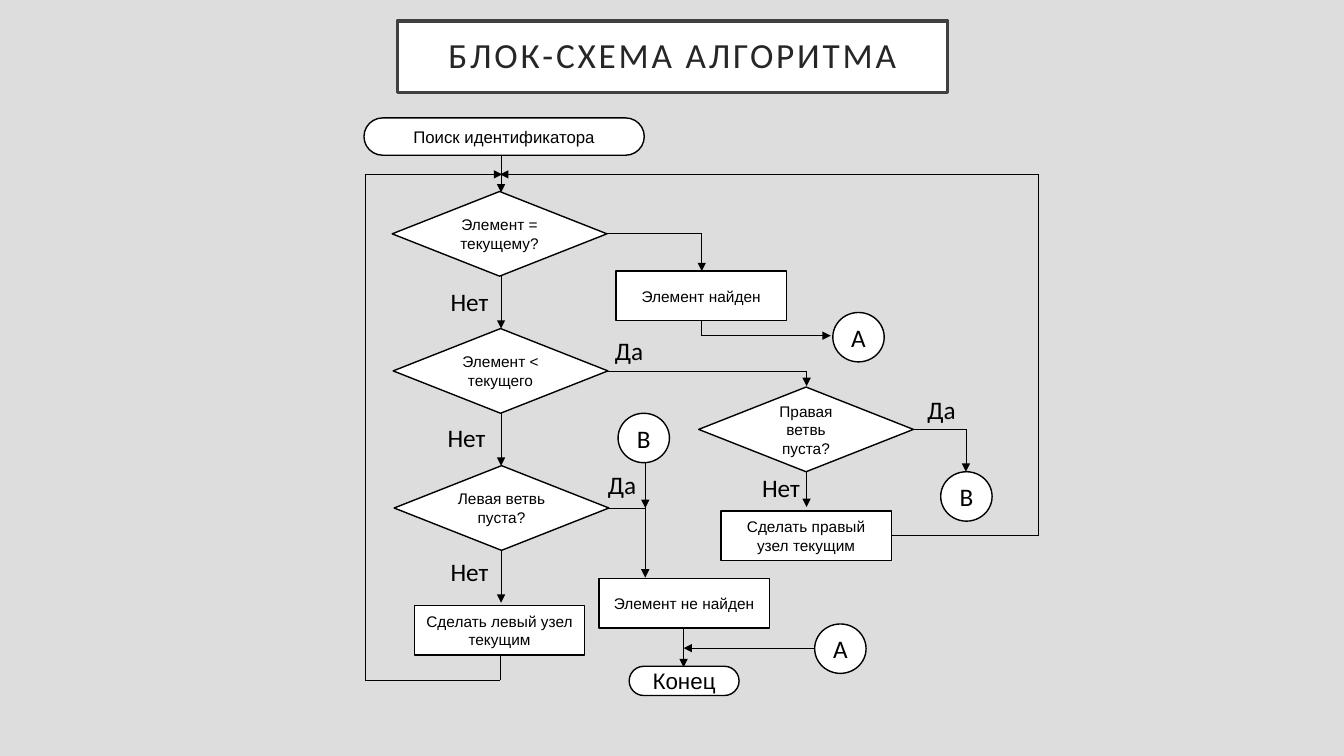
from itertools import pairwise

from lxml.etree import SubElement
from pptx import Presentation
from pptx.dml.color import RGBColor
from pptx.enum.shapes import MSO_CONNECTOR as Connector, MSO_SHAPE as Shape
from pptx.enum.text import MSO_ANCHOR as Anchor, PP_ALIGN as Align
from pptx.oxml.ns import qn
from pptx.util import Inches, Pt

BACKGROUND = RGBColor(0xDD, 0xDD, 0xDD)
WHITE = RGBColor(0xFF, 0xFF, 0xFF)
BLACK = RGBColor(0, 0, 0)
TITLE_LINE = RGBColor(0x40, 0x40, 0x40)
TITLE_TEXT = RGBColor(0x26, 0x26, 0x26)

DECISION_SIZE = (2.13, 0.84)
ACTION_SIZE = (1.69, 0.49)
LINK_SIZE = (0.51, 0.49)
LABEL_SIZE = (0.68, 0.4)

TERMINALS = [
    ("Поиск идентификатора", 0.01, 0.07, 2.78, 0.37, 12),
    ("Конец", 2.64, 5.51, 1.09, 0.29, 16),
]
DECISIONS = [
    ("Элемент = текущему?", 0.29, 0.8),
    ("Элемент < текущего", 0.3, 2.16),
    ("Правая ветвь пуста?", 3.33, 2.74),
    ("Левая ветвь пуста?", 0.31, 3.52),
]
ACTIONS = [
    ("Элемент найден", 2.51, 1.59),
    ("Сделать правый узел текущим", 3.55, 3.97),
    ("Сделать левый узел текущим", 0.51, 4.91),
    ("Элемент не найден", 2.34, 4.64),
]
LINKS = [("А", 4.66, 2.0), ("B", 5.73, 3.58), ("B", 2.53, 3.0), ("А", 4.48, 5.09)]
LABELS = [
    ("Нет", 0.77, 1.69),
    ("Нет", 0.74, 3.04),
    ("Нет", 0.77, 4.37),
    ("Да", 2.4, 2.18),
    ("Да", 2.33, 3.51),
    ("Да", 5.5, 2.76),
    ("Нет", 3.86, 3.54),
]
ARROW_ROUTES = [
    [(1.37, 0.38), (1.37, 0.81)],
    [(2.42, 1.22), (3.36, 1.22), (3.36, 1.59)],
    [(3.36, 2.08), (3.36, 2.23), (4.64, 2.23)],
    [(1.37, 1.63), (1.37, 2.16)],
    [(2.42, 2.58), (4.4, 2.58), (4.4, 2.73)],
    [(5.46, 3.16), (5.98, 3.16), (5.98, 3.58)],
    [(4.4, 3.57), (4.4, 3.93)],
    [(5.25, 4.21), (6.7, 4.21), (6.7, 0.63), (1.36, 0.63)],
    [(1.37, 3.0), (1.37, 3.52)],
    [(2.8, 3.43), (2.8, 3.94)],
    [(2.8, 3.93), (2.8, 4.63)],
    [(1.37, 4.37), (1.37, 4.88)],
    [(1.36, 5.4), (1.36, 5.65), (0.02, 5.65), (0.02, 0.63), (1.38, 0.63)],
    [(3.18, 5.13), (3.18, 5.52)],
    [(4.48, 5.33), (3.18, 5.33)],
]
PLAIN_ROUTES = [[(2.42, 3.94), (2.8, 3.94)]]


def place(box, left, top, width, height):
    box.left, box.top = Inches(left), Inches(top)
    box.width, box.height = Inches(width), Inches(height)


def outline(box, color, width):
    box.fill.solid()
    box.fill.fore_color.rgb = WHITE
    box.line.color.rgb = color
    box.line.width = Pt(width)


def write(box, text, size, font="Arial", color=BLACK, align=Align.CENTER, anchor=Anchor.MIDDLE):
    frame = box.text_frame
    frame.word_wrap = True
    frame.vertical_anchor = anchor
    frame.text = text
    para = frame.paragraphs[0]
    para.alignment = align
    span = para.runs[0]
    span.font.name = font
    span.font.size = Pt(size)
    span.font.color.rgb = color
    return para


def draw_title(page, left, top, width, height):
    title = page.shapes.title
    place(title, left, top, width, height)
    outline(title, TITLE_LINE, 2.5)
    para = write(title, "БЛОК-СХЕМА АЛГОРИТМА", 25.2, "Calibri", TITLE_TEXT)
    para.line_spacing = 0.9
    para.runs[0].font._element.set("spc", "200")
    frame = title.text_frame
    frame.margin_left = frame.margin_right = Inches(0.2)
    frame.margin_top = frame.margin_bottom = Inches(0.2)


def draw_node(page, kind, text, left, top, width, height, size, font="Arial"):
    node = page.shapes.add_shape(
        kind, Inches(left), Inches(top), Inches(width), Inches(height)
    )
    node.shadow.inherit = False
    outline(node, BLACK, 1)
    write(node, text, size, font)
    return node


def draw_label(page, text, left, top, width, height):
    label = page.shapes.add_textbox(
        Inches(left), Inches(top), Inches(width), Inches(height)
    )
    write(label, text, 18, "Calibri", align=Align.LEFT, anchor=Anchor.TOP)


def draw_route(page, left, top, points, arrow):
    for (x1, y1), (x2, y2) in pairwise(points):
        line = page.shapes.add_connector(
            Connector.STRAIGHT,
            Inches(left + x1), Inches(top + y1), Inches(left + x2), Inches(top + y2),
        )
        line.line.color.rgb = BLACK
        line.line.width = Pt(0.5)
        SubElement(line._element.spPr, qn("a:effectLst"))
    if arrow:
        SubElement(line.line._get_or_add_ln(), qn("a:tailEnd"), type="triangle")


def draw_flowchart(page, left, top):
    for points in ARROW_ROUTES:
        draw_route(page, left, top, points, True)
    for points in PLAIN_ROUTES:
        draw_route(page, left, top, points, False)
    for text, x, y, width, height, size in TERMINALS:
        terminal = draw_node(
            page, Shape.ROUNDED_RECTANGLE, text, left + x, top + y, width, height, size
        )
        terminal.adjustments[0] = 0.5
    for kind, nodes, extent, size, font in [
        (Shape.FLOWCHART_DECISION, DECISIONS, DECISION_SIZE, 11, "Arial"),
        (Shape.RECTANGLE, ACTIONS, ACTION_SIZE, 11, "Arial"),
        (Shape.OVAL, LINKS, LINK_SIZE, 18, "Calibri"),
    ]:
        for text, x, y in nodes:
            draw_node(page, kind, text, left + x, top + y, *extent, size, font)
    for text, x, y in LABELS:
        draw_label(page, text, left + x, top + y, *LABEL_SIZE)


def main():
    deck = Presentation()
    deck.slide_width, deck.slide_height = Inches(13.33), Inches(7.5)
    page = deck.slides.add_slide(deck.slide_layouts[5])
    page.background.fill.solid()
    page.background.fill.fore_color.rgb = BACKGROUND
    draw_title(page, 3.94, 0.21, 5.46, 0.71)
    draw_flowchart(page, 3.6, 1.1)
    deck.save("out.pptx")


if __name__ == "__main__":
    main()
